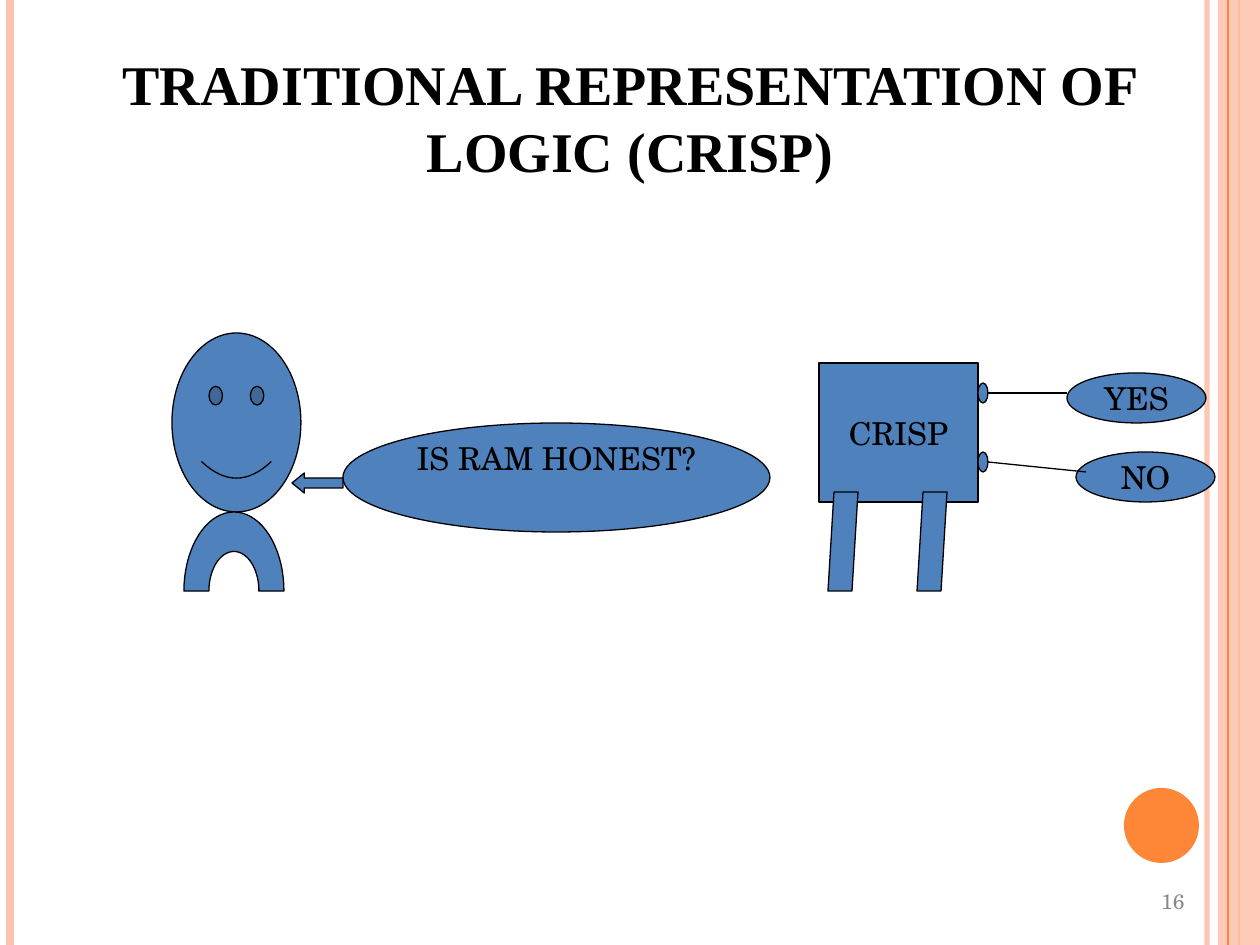
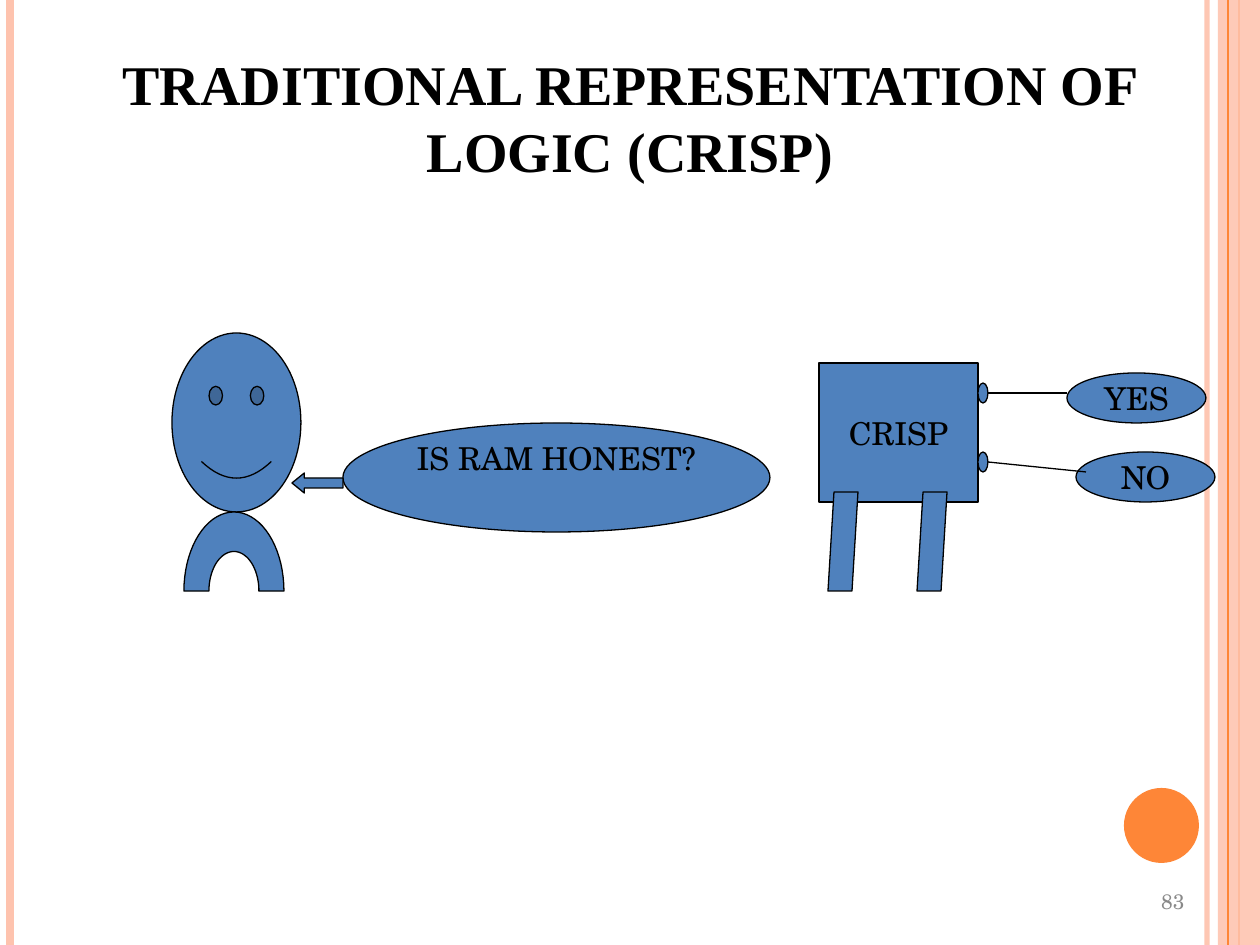
import math

from lxml import etree
from pptx import Presentation
from pptx import util as u
from pptx.dml.color import RGBColor
from pptx.enum import shapes, text
from pptx.oxml import ns

# Shared look
PEACH = RGBColor(0xFE, 0xC3, 0xAE)
ORANGE = RGBColor(0xFE, 0x86, 0x37)
BLUE = RGBColor(0x4F, 0x81, 0xBD)
BLACK = RGBColor(0, 0, 0)
GREY = RGBColor(0x89, 0x89, 0x89)
TITLE_FONT = {"name": "Times New Roman", "size": u.Pt(32), "bold": True}
BODY_FONT = {"name": "TeX Gyre Schola", "size": u.Pt(18)}
NUMBER_FONT = {"name": "TeX Gyre Schola", "size": u.Pt(12)}
WIDTH, HEIGHT = 1260, 945
TITLE = "TRADITIONAL REPRESENTATION OF LOGIC (CRISP)"
PAGE_NUMBERS = ["16", "83"]
MSO = shapes.MSO_SHAPE
ALIGN = text.PP_ALIGN
ANCHOR = text.MSO_ANCHOR


def px(n):
    return u.Emu(round(n * 914400 / 126))


def set_all(target, values):
    for name, value in values.items():
        setattr(target, name, value)


def set_alpha(element, percent):
    color = next(element.iter(ns.qn("a:srgbClr")))
    etree.SubElement(color, ns.qn("a:alpha"), val=str(percent * 1000))


def write(tf, words, font, color=BLACK, align=ALIGN.CENTER, anchor=ANCHOR.MIDDLE, wrap=True):
    set_all(tf, {"word_wrap": wrap, "auto_size": text.MSO_AUTO_SIZE.NONE,
                 "vertical_anchor": anchor})
    p = tf.paragraphs[0]
    p.alignment = align
    r = p.add_run()
    r.text = words
    set_all(r.font, font)
    r.font.color.rgb = color


def paint(sp, fill=BLUE, line=BLACK):
    sp.shadow.inherit = False
    sp.fill.solid()
    sp.fill.fore_color.rgb = fill
    if line is None:
        sp.line.fill.background()
    else:
        sp.line.color.rgb = line
        sp.line.width = u.Pt(0.75)


def add_shape(s, kind, x, y, w, h, words=None, fill=BLUE, line=BLACK):
    sp = s.shapes.add_shape(kind, px(x), px(y), px(w), px(h))
    paint(sp, fill, line)
    if words:
        write(sp.text_frame, words, BODY_FONT, wrap=False)
    return sp


def add_line(s, x1, y1, x2, y2, color=BLACK, width=0.75):
    ln = s.shapes.add_connector(shapes.MSO_CONNECTOR.STRAIGHT, px(x1), px(y1), px(x2), px(y2))
    set_all(ln.line, {"width": u.Pt(width)})
    ln.line.color.rgb = color
    etree.SubElement(ln.element.spPr, ns.qn("a:effectLst"))
    return ln


def add_frame(s):
    """Side stripes and the orange disc."""
    edge = add_line(s, 1207, 0, 1207, HEIGHT, PEACH, 3)
    set_alpha(edge.element, 93)
    add_line(s, 10, 0, 10, HEIGHT, PEACH, 4.5)
    add_line(s, 1239, 0, 1239, HEIGHT, ORANGE, 1.5)
    band = add_shape(s, MSO.RECTANGLE, 1218, 0, WIDTH - 1218, HEIGHT, fill=PEACH, line=None)
    set_alpha(band.element, 87)
    add_line(s, 1228, 0, 1228, HEIGHT, ORANGE)
    add_shape(s, MSO.OVAL, 1124, 788, 75, 75, fill=ORANGE, line=None)


def add_title(s, x, y, w, h):
    title = s.shapes.title
    set_all(title, {"left": px(x), "top": px(y), "width": px(w), "height": px(h)})
    write(title.text_frame, TITLE, TITLE_FONT)


def add_page_number(s, number, x, y, w, h):
    box = s.shapes.add_textbox(px(x), px(y), px(w), px(h))
    write(box.text_frame, number, NUMBER_FONT, GREY, ALIGN.RIGHT)


def add_person(s, x, y):
    """Smiling head over arched legs."""
    face = add_shape(s, MSO.SMILEY_FACE, x, y, 129, 179)
    face.adjustments[0] = 0.0465

    # Half ring: outer arc left to right, inner arc back
    cx, base, rx, ry = x + 62, y + 258, 50, 79
    angles = [math.radians(a) for a in range(180, -1, -5)]
    ring = [(px(cx + k * rx * math.cos(a)), px(base - k * ry * math.sin(a)))
            for k, sweep in ((1, angles), (0.5, angles[::-1])) for a in sweep]
    outline = s.shapes.build_freeform(*ring[0])
    outline.add_line_segments(ring[1:], close=True)
    paint(outline.convert_to_shape())


def add_question(s, x, y):
    """Question bubble with an arrow to the person."""
    bubble = add_shape(s, MSO.OVAL, x + 51, y, 427, 109, "IS RAM HONEST?")
    set_all(bubble.text_frame, {"vertical_anchor": ANCHOR.TOP, "margin_top": 0})
    arrow = add_shape(s, MSO.LEFT_ARROW, x, y + 50, 51, 20)
    arrow.adjustments[1] = 0.62


def add_crisp_machine(s, x, y):
    """Box on two legs, with a knob and a wire for each answer."""
    add_shape(s, MSO.RECTANGLE, x, y, 159, 139, "CRISP")
    for leg in (9, 98):
        add_shape(s, MSO.FLOWCHART_DATA, x + leg, y + 129, 30, 99)

    answers = [("YES", 20, 248, 10, 248, 30), ("NO", 89, 257, 89, 267, 109)]
    for words, knob_y, left, top, end_x, end_y in answers:
        add_shape(s, MSO.OVAL, x + 159, y + knob_y, 10, 20)
        add_shape(s, MSO.OVAL, x + left, y + top, 139, 50, words)
        add_line(s, x + 169, y + knob_y + 10, x + end_x, y + end_y)


def add_logic_slide(prs, number):
    s = prs.slides.add_slide(prs.slide_layouts.get_by_name("Title Only"))
    add_frame(s)
    add_title(s, 63, 38, 1134, 157)
    add_person(s, 172, 333)
    add_question(s, 292, 423)
    add_crisp_machine(s, 819, 363)
    add_page_number(s, number, 903, 876, 294, 50)


def main():
    prs = Presentation()
    set_all(prs, {"slide_width": px(WIDTH), "slide_height": px(HEIGHT)})
    for number in PAGE_NUMBERS:
        add_logic_slide(prs, number)
    prs.save("out.pptx")


if __name__ == "__main__":
    main()
